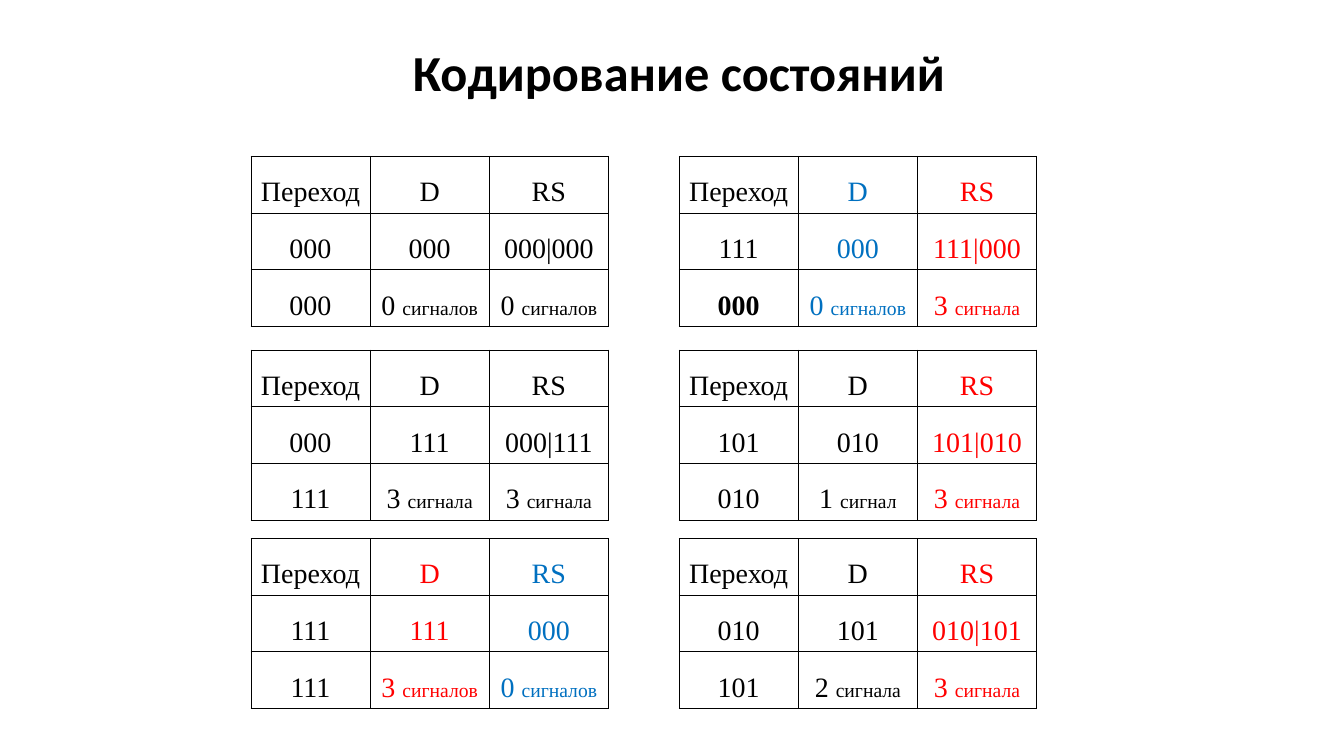
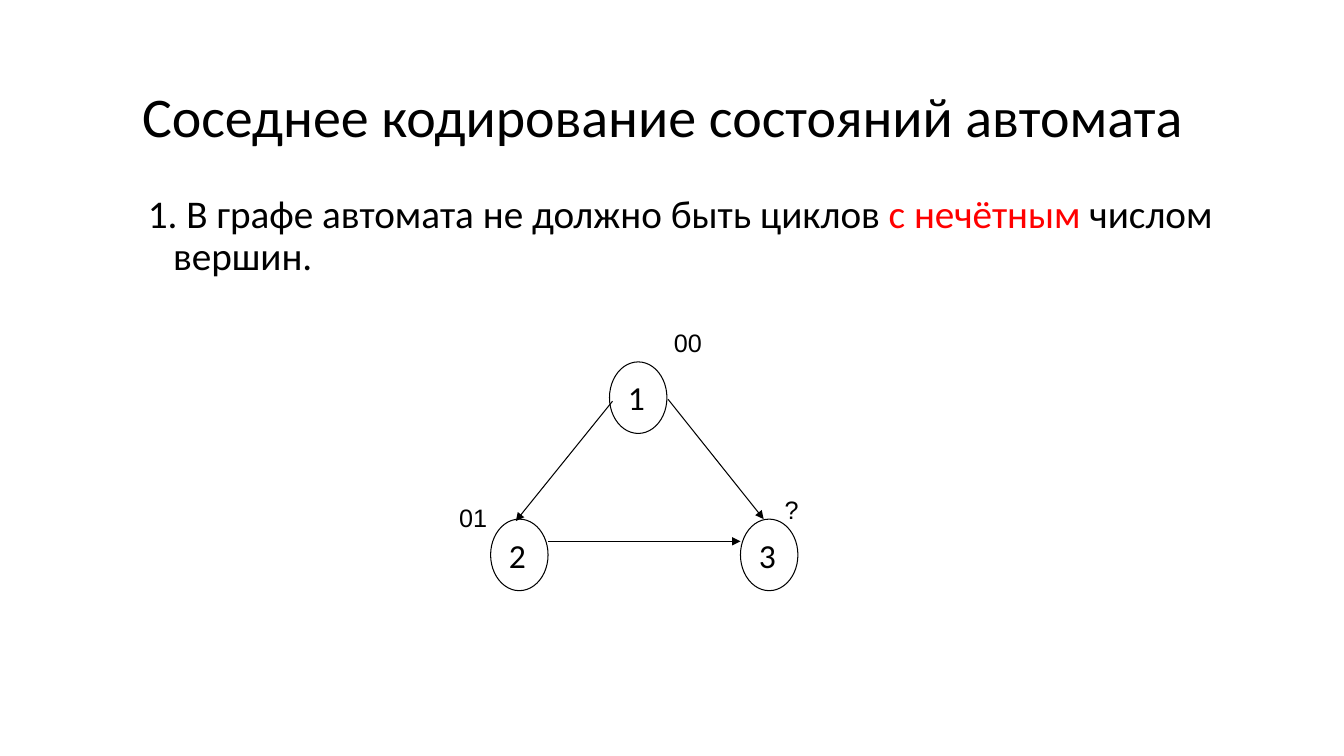
from dataclasses import dataclass

from lxml import etree
from pptx import Presentation
from pptx import util as u
from pptx.dml.color import RGBColor
from pptx.enum import shapes, text
from pptx.oxml import parse_xml
from pptx.oxml.ns import nsdecls, qn


@dataclass(frozen=True)
class Theme:
    black: str = "000000"
    white: str = "FFFFFF"
    red: str = "FF0000"
    blue: str = "0070C0"
    font: str = "Calibri"
    table_font: str = "Times New Roman"
    label_font: str = "Arial"
    title: int = 40
    title_small: int = 36
    body: int = 28
    node: int = 24
    cell: int = 20
    label: int = 18
    unit: int = 14


T = Theme()
PX = 9144  # 100 px to the inch

prs = Presentation()
prs.slide_width, prs.slide_height = 1334 * PX, 750 * PX
title_only = prs.slide_layouts[5]


def add_run(p, words, size, font=T.font, color=T.black, bold=False):
    r = p.add_run()
    r.text = words
    r.font.size = u.Pt(size)
    r.font.name = font
    r.font.bold = bold
    r.font.color.rgb = RGBColor.from_string(color)


def add_titled_slide(words, box, size, bold, align, anchor):
    s = prs.slides.add_slide(title_only)
    sp = s.shapes.title
    sp.left, sp.top, sp.width, sp.height = [v * PX for v in box]
    tf = sp.text_frame
    tf.auto_size = text.MSO_AUTO_SIZE.NONE
    tf.vertical_anchor = anchor
    p = tf.paragraphs[0]
    p.alignment = align
    p.line_spacing = 0.9
    add_run(p, words, size, bold=bold)
    return s


# Slide 1: transition tables
s = add_titled_slide("Кодирование состояний", (249, 28, 850, 79), T.title_small,
                     True, text.PP_ALIGN.CENTER, text.MSO_ANCHOR.BOTTOM)

# Per table: D colour, RS colour, rows below the header
tables = [
    (T.black, T.black, [("000", "000", "000|000"), ("000", "0 сигналов", "0 сигналов")]),
    (T.blue, T.red, [("111", "000", "111|000"), ("000", "0 сигналов", "3 сигнала")]),
    (T.black, T.black, [("000", "111", "000|111"), ("111", "3 сигнала", "3 сигнала")]),
    (T.black, T.red, [("101", "010", "101|010"), ("010", "1 сигнал", "3 сигнала")]),
    (T.red, T.blue, [("111", "111", "000"), ("111", "3 сигналов", "0 сигналов")]),
    (T.black, T.red, [("010", "101", "010|101"), ("101", "2 сигнала", "3 сигнала")]),
]
header = ("Переход", "D", "RS")
lefts, tops = (249, 674), (155, 347, 534)
bold_cell = (1, 2, 0)  # table, row, column

for n, (d_color, rs_color, rows) in enumerate(tables):
    frame = s.shapes.add_table(3, 3, lefts[n % 2] * PX, tops[n // 2] * PX,
                               355 * PX, 150 * PX)
    table = frame.table
    table.first_row = table.horz_banding = False
    for i, row in enumerate([header, *rows]):
        table.rows[i].height = 50 * PX
        for j, words in enumerate(row):
            cell = table.cell(i, j)
            cell.margin_left = cell.margin_right = 8 * PX
            cell.margin_top = cell.margin_bottom = 5 * PX
            tc_pr = cell._tc.get_or_add_tcPr()
            for side in ("lnL", "lnR", "lnT", "lnB"):
                tc_pr.append(parse_xml(
                    f'<a:{side} {nsdecls("a")} w="5715"><a:solidFill>'
                    f'<a:srgbClr val="{T.black}"/></a:solidFill></a:{side}>'))
            cell.fill.background()
            p = cell.text_frame.paragraphs[0]
            p.alignment = text.PP_ALIGN.CENTER
            p.line_spacing = 1.5
            color = (T.black, d_color, rs_color)[j]
            count, gap, unit = words.partition(" ")
            add_run(p, count + gap, T.cell, T.table_font, color, (n, i, j) == bold_cell)
            if unit:
                add_run(p, unit, T.unit, T.table_font, color)

# Slide 2: adjacent coding
s = add_titled_slide("Соседнее кодирование состояний автомата", (131, 46, 1150, 145),
                     T.title, False, text.PP_ALIGN.LEFT, text.MSO_ANCHOR.MIDDLE)

# Rule with a hanging indent
sp = s.shapes.add_textbox(137 * PX, 188 * PX, 1104 * PX, 114 * PX)
tf = sp.text_frame
tf.word_wrap = True
p = tf.paragraphs[0]
p.line_spacing = 0.9
p_pr = p._p.get_or_add_pPr()
p_pr.set("marL", str(25 * PX))
p_pr.set("indent", str(-25 * PX))
for words, color in (("1. В графе автомата не должно быть циклов ", T.black),
                     ("с нечётным ", T.red), ("числом вершин.", T.black)):
    add_run(p, words, T.body, color=color)

# Graph nodes
graph = s.shapes.add_group_shape()
for name, x, y in (("3", 735, 515), ("1", 605, 359), ("2", 487, 515)):
    sp = graph.shapes.add_shape(shapes.MSO_SHAPE.OVAL, x * PX, y * PX, 57 * PX, 71 * PX)
    sp.shadow.inherit = False
    sp.fill.solid()
    sp.fill.fore_color.rgb = RGBColor.from_string(T.white)
    sp.line.color.rgb = RGBColor.from_string(T.black)
    sp.line.width = u.Pt(0.75)
    tf = sp.text_frame
    tf.vertical_anchor = text.MSO_ANCHOR.TOP
    p = tf.paragraphs[0]
    p.alignment = text.PP_ALIGN.LEFT
    add_run(p, name, T.node)

# Graph arrows
for ends in ((544, 537, 735, 537), (663, 396, 758, 515), (608, 398, 512, 517)):
    arrow = graph.shapes.add_connector(shapes.MSO_CONNECTOR.STRAIGHT,
                                       *[v * PX for v in ends])
    arrow.line.color.rgb = RGBColor.from_string(T.black)
    arrow.line.width = u.Pt(0.75)
    etree.SubElement(arrow.line._get_or_add_ln(), qn("a:tailEnd"), type="triangle")
    etree.SubElement(arrow._element.spPr, qn("a:effectLst"))

# State codes
for code, x, y in (("00", 659, 320), ("01", 446, 493), ("?", 769, 485)):
    sp = graph.shapes.add_textbox(x * PX, y * PX, 55 * PX, 40 * PX)
    tf = sp.text_frame
    tf.word_wrap = True
    add_run(tf.paragraphs[0], code, T.label, T.label_font)

prs.save("out.pptx")
